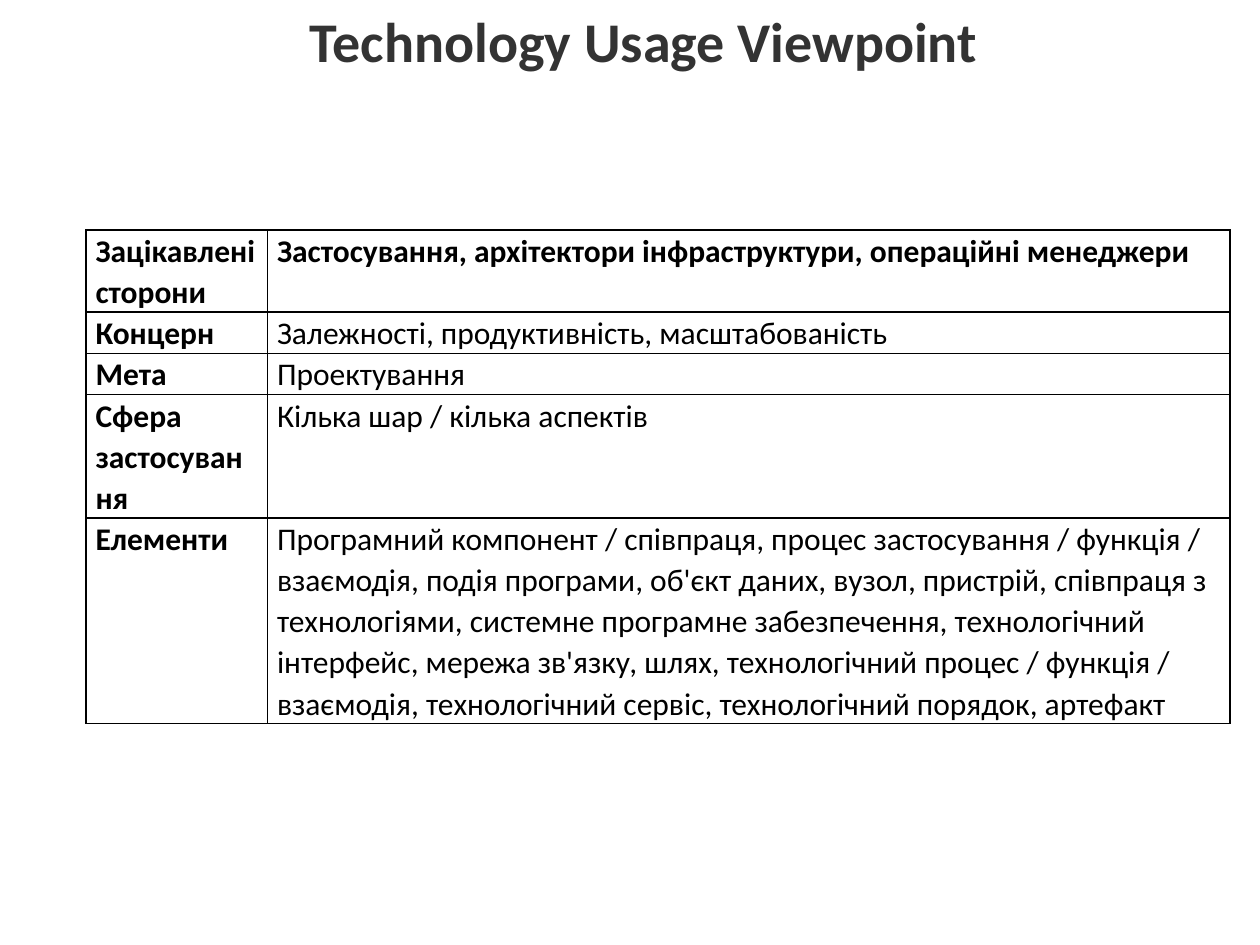
"""Build the Technology Usage Viewpoint slide."""
from lxml import etree
from pptx import Presentation
from pptx import util as u
from pptx.dml.color import RGBColor
from pptx.enum import text
from pptx.oxml import ns

BLACK = RGBColor(0x00, 0x00, 0x00)
GREY = RGBColor(0x33, 0x33, 0x33)
LINE = 23.1
ROWS = [
    ("Зацікавлені сторони", "Застосування, архітектори інфраструктури, операційні менеджери", 2),
    ("Концерн", "Залежності, продуктивність, масштабованість", 1),
    ("Мета", "Проектування", 1),
    ("Сфера застосування", "Кілька шар / кілька аспектів", 3),
    ("Елементи",
     "Програмний компонент / співпраця, процес застосування / функція / "
     "взаємодія, подія програми, об'єкт даних, вузол, пристрій, співпраця з "
     "технологіями, системне програмне забезпечення, технологічний "
     "інтерфейс, мережа зв'язку, шлях, технологічний процес / функція / "
     "взаємодія, технологічний сервіс, технологічний порядок, артефакт", 5),
]


class Deck:
    def __init__(self, font="Calibri"):
        self.font = font
        self.prs = Presentation()
        self.prs.slide_width, self.prs.slide_height = u.Pt(720), u.Pt(540)
        self.slide = self.prs.slides.add_slide(self.prs.slide_layouts[6])

    def label(self, para, words, size, color, bold):
        run = para.add_run()
        run.text = words
        form = {"name": self.font, "size": u.Pt(size), "bold": bold}
        for key, val in form.items():
            setattr(run.font, key, val)
        run.font.color.rgb = color

    def title(self, words, box):
        frame = self.slide.shapes.add_textbox(*map(u.Pt, box)).text_frame
        form = {"word_wrap": False, "auto_size": text.MSO_AUTO_SIZE.SHAPE_TO_FIT_TEXT}
        for key, val in form.items():
            setattr(frame, key, val)
        self.label(frame.paragraphs[0], words, 32, GREY, True)

    def border(self, cell):
        props = cell._tc.get_or_add_tcPr()
        for side in ("lnL", "lnR", "lnT", "lnB"):
            edge = etree.SubElement(props, ns.qn(f"a:{side}"), w=str(u.Pt(1)))
            fill = etree.SubElement(edge, ns.qn("a:solidFill"))
            etree.SubElement(fill, ns.qn("a:srgbClr"), val=str(BLACK))

    def cell(self, cell, words, bold):
        form = {"margin_left": u.Pt(5.4), "margin_right": u.Pt(5.4),
                "margin_top": 0, "margin_bottom": 0}
        for key, val in form.items():
            setattr(cell, key, val)
        self.border(cell)
        cell.fill.background()
        para = cell.text_frame.paragraphs[0]
        para.line_spacing = 1.07
        self.label(para, words, 18, BLACK, bold)

    def table(self, rows, left, top, cols):
        high = LINE * sum(row[-1] for row in rows)
        box = map(u.Pt, (left, top, sum(cols), high))
        grid = self.slide.shapes.add_table(len(rows), len(cols), *box).table
        grid.first_row = grid.horz_banding = False
        for col, wide in zip(grid.columns, cols):
            col.width = u.Pt(wide)
        for i, (head, body, lines) in enumerate(rows):
            grid.rows[i].height = u.Pt(LINE * lines)
            self.cell(grid.cell(i, 0), head, True)
            self.cell(grid.cell(i, 1), body, i == 0)

    def save(self):
        self.prs.save("out.pptx")


def main():
    deck = Deck()
    deck.table(ROWS, 49.2, 131.3, (103.7, 550))
    deck.title("Technology Usage Viewpoint", (170, 0, 399.6, 46))
    deck.save()


if __name__ == "__main__":
    main()
